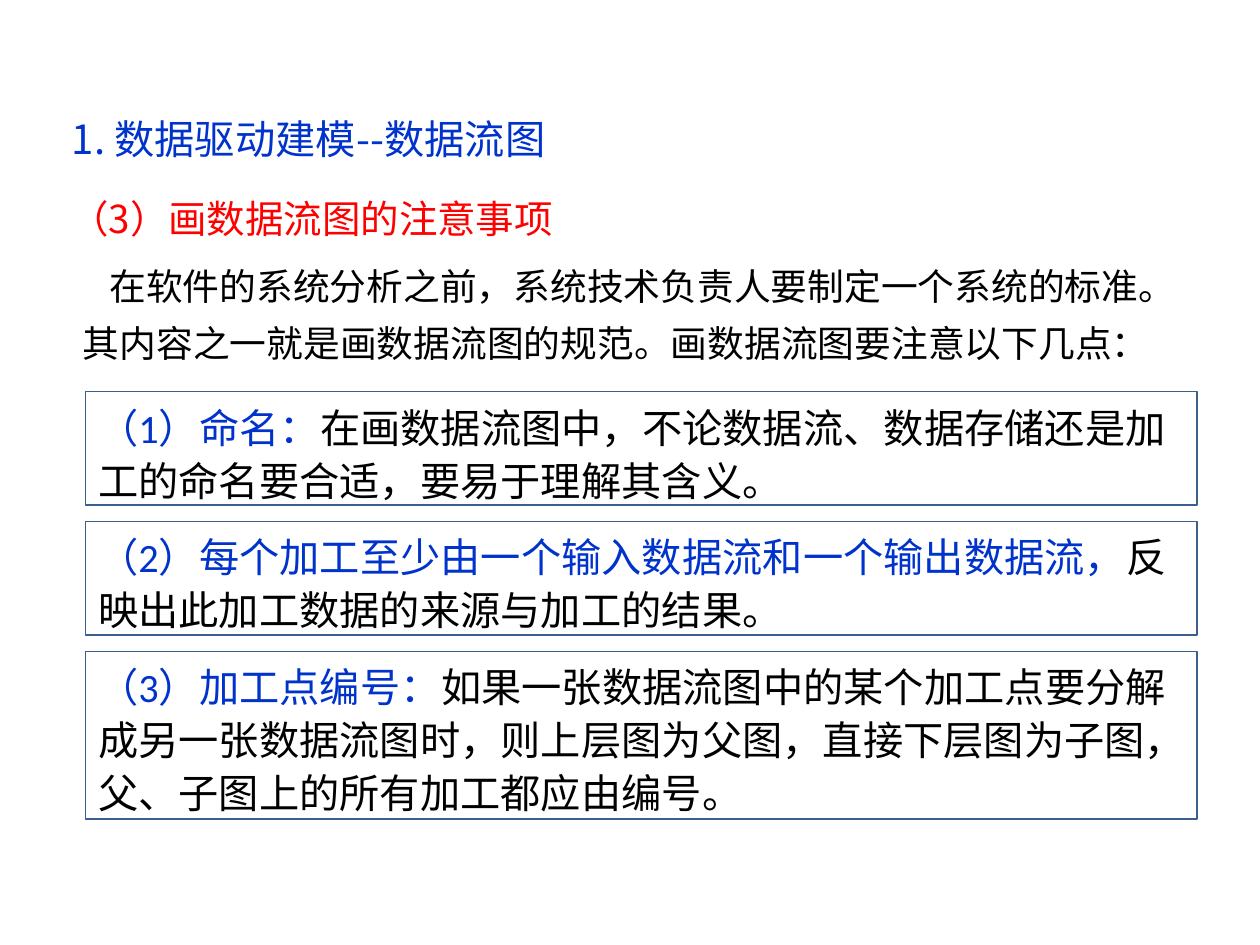
import pptx
import pptx.dml.color
import pptx.enum.shapes
import pptx.enum.text
import pptx.oxml
import pptx.oxml.ns
import pptx.util
from pptx.util import Inches

BLUE, RED, BLACK, BORDER = "0033CC", "FF0000", "000000", "3A5F8C"
LATIN, CHINESE = "Calibri", "Noto Sans CJK SC"


def color(value):
    return pptx.dml.color.RGBColor.from_string(value)


class SlideWriter:
    def __init__(self, page, left, width):
        self.page = page
        self.left = left
        self.width = width

    def style(self, font, name, size, tint):
        font.name = name
        font.size = pptx.util.Pt(size)
        font.color.rgb = color(tint)

    def east_asian(self, span):
        properties = span.font._element if hasattr(span.font, "_element") else span._r.get_or_add_rPr()
        element = pptx.oxml.parse_xml(
            f'<a:ea {pptx.oxml.ns.nsdecls("a")} typeface="{LATIN}"/>'
        )
        latin = properties.find(pptx.oxml.ns.qn("a:latin"))
        if latin is None:
            properties.append(element)
        else:
            latin.addnext(element)

    def prepare(self, box):
        frame = box.text_frame
        frame.word_wrap = True
        frame.auto_size = pptx.enum.text.MSO_AUTO_SIZE.NONE
        frame.vertical_anchor = pptx.enum.text.MSO_ANCHOR.TOP
        para = frame.paragraphs[0]
        para.alignment = pptx.enum.text.PP_ALIGN.LEFT
        return para

    def add_span(self, para, text):
        span = para.add_run()
        span.text = text
        self.east_asian(span)
        return span

    def title(self, text, left, top, width, height):
        box = self.page.shapes.title
        box.left, box.top = Inches(left), Inches(top)
        box.width, box.height = Inches(width), Inches(height)
        para = self.prepare(box)
        self.add_span(para, text)
        self.style(para.font, CHINESE, 23, BLUE)

    def text(self, text, left, top, width, height, size, tint, spacing, indent=0):
        box = self.page.shapes.add_textbox(
            Inches(left), Inches(top), Inches(width), Inches(height)
        )
        para = self.prepare(box)
        para.line_spacing = spacing
        para._p.get_or_add_pPr().set("indent", str(Inches(indent)))
        self.add_span(para, text)
        self.style(para.font, CHINESE, size, tint)

    def rule_box(self, heading, detail, top, height):
        box = self.page.shapes.add_shape(
            pptx.enum.shapes.MSO_SHAPE.RECTANGLE,
            Inches(self.left), Inches(top), Inches(self.width), Inches(height),
        )
        box.shadow.inherit = False
        box.fill.background()
        box.line.color.rgb = color(BORDER)
        box.line.width = pptx.util.Pt(0.75)
        para = self.prepare(box)
        para.line_spacing = 1.1
        for text, name, tint in ((heading, LATIN, BLUE), (detail, CHINESE, BLACK)):
            self.style(self.add_span(para, text).font, name, 23, tint)


def main():
    deck = pptx.Presentation()
    deck.slide_width, deck.slide_height = Inches(10), Inches(7.5)
    page = deck.slides.add_slide(deck.slide_layouts[5])
    writer = SlideWriter(page, left=0.68, width=8.82)

    writer.title("1. 数据驱动建模--数据流图", 0.47, 0.86, 6.59, 0.62)
    writer.text("（3）画数据流图的注意事项", 0.46, 1.41, 5.33, 0.56, 22, RED, 1.25)
    writer.text(
        "在软件的系统分析之前，系统技术负责人要制定一个系统的标准。"
        "其内容之一就是画数据流图的规范。画数据流图要注意以下几点：",
        0.56, 1.94, 8.93, 0.99, 21, BLACK, 1.3, indent=0.21,
    )

    rules = [
        ("（1）命名：",
         "在画数据流图中，不论数据流、数据存储还是加工的命名要合适，要易于理解其含义。", 0.9),
        ("（2）每个加工至少由一个输入数据流和一个输出数据流，",
         "反映出此加工数据的来源与加工的结果。", 0.9),
        ("（3）加工点编号：",
         "如果一张数据流图中的某个加工点要分解成另一张数据流图时，则上层图为父图，"
         "直接下层图为子图，父、子图上的所有加工都应由编号。", 1.33),
    ]
    top, gap = 3.11, 0.13
    for heading, detail, height in rules:
        writer.rule_box(heading, detail, top, height)
        top += height + gap

    deck.save("out.pptx")


if __name__ == "__main__":
    main()
